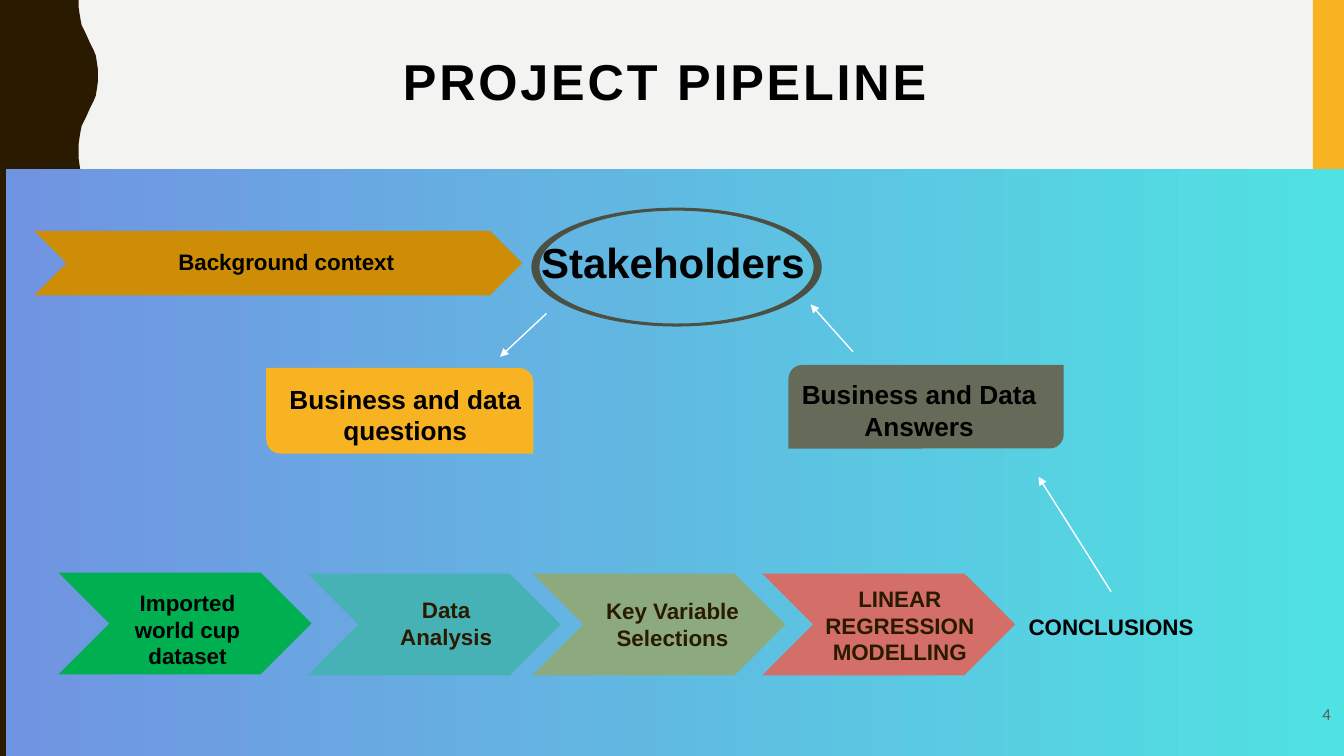
from math import cos, pi, sin
from lxml.etree import SubElement
from pptx import Presentation
from pptx.dml.color import RGBColor
from pptx.enum.shapes import MSO_CONNECTOR as Connector, MSO_SHAPE as Shape
from pptx.enum.text import MSO_ANCHOR as Anchor, PP_ALIGN as Align
from pptx.oxml.ns import qn
from pptx.util import Inches, Pt


class Theme:
    paper, brown, gold = "F3F3F2", "2A1A00", "F8B323"
    gradient = ("7194E2", "4FE2E2")
    ochre, ring, olive = "CE8D07", "4C5043", "656A59"
    green, teal, sage, coral = "00B050", "46B2B5", "8CAA7E", "D36F68"
    black, white, gray = "000000", "FFFFFF", "595959"
    font, number_font = "Arial", "Calibri"
    title, hub, box, step, number = 36, 30, 18.7, 16, 12


# Content: boxes are left, top, width, height in inches
TITLE = "PROJECT PIPELINE"
CHEVRONS = [
    ((0.34, 2.29, 4.84, 0.64), Theme.ochre),
    ((0.58, 5.68, 2.51, 1.01), Theme.green),
    ((3.05, 5.69, 2.51, 1.01), Theme.teal),
    ((5.28, 5.69, 2.51, 1.01), Theme.sage),
    ((7.56, 5.69, 2.51, 1.01), Theme.coral),
]
CARDS = [  # box, fill, roundings of the two diagonals
    ((2.64, 3.65, 2.65, 0.85), Theme.gold, (0, 0.167)),
    ((7.82, 3.62, 2.73, 0.83), Theme.olive, (0.167, 0)),
]
STEP_LABELS = [  # text, box, colour, anchor
    ("Background context", (0.71, 2.41, 4.26, 0.37), Theme.black, Anchor.MIDDLE),
    ("Imported world cup dataset", (1.19, 5.78, 1.34, 0.91), Theme.black, Anchor.BOTTOM),
    ("Data Analysis", (3.83, 5.86, 1.19, 0.64), Theme.brown, Anchor.BOTTOM),
    ("Key Variable Selections", (5.86, 5.87, 1.62, 0.64), Theme.brown, Anchor.BOTTOM),
    ("LINEAR REGRESSION MODELLING", (8.06, 5.74, 1.73, 0.91), Theme.brown, Anchor.BOTTOM),
    ("CONCLUSIONS", (10.08, 6.03, 1.88, 0.37), Theme.black, Anchor.BOTTOM),
]
CARD_LABELS = [
    ("Business and data questions", (2.25, 3.63, 3.54, 0.97)),
    ("Business and Data Answers", (7.67, 3.64, 2.89, 0.86)),
]
ARROWS = [  # start, end
    ((5.42, 3.11), (4.96, 3.54)),
    ((8.46, 3.49), (8.04, 3.02)),
    ((11.02, 5.87), (10.3, 4.73)),
]
# Half a wave of the left edge: depth, x
WAVE = [(0, 0.78), (0.07, 0.78), (0.14, 0.79), (0.2, 0.8), (0.25, 0.81),
        (0.33, 0.85), (0.42, 0.89), (0.5, 0.93), (0.55, 0.95), (0.61, 0.96),
        (0.68, 0.97), (0.75, 0.97)]
WAVE_LENGTH, WAVE_COUNT = 1.5, 5

presentation = Presentation()
presentation.slide_width, presentation.slide_height = Inches(13.33), Inches(7.5)
slide = presentation.slides.add_slide(presentation.slide_layouts[5])
shapes = slide.shapes


def color(value):
    return RGBColor.from_string(value)


def inches(values):
    return [Inches(value) for value in values]


def paint(shape, fill):
    shape.shadow.inherit = False
    shape.line.fill.background()
    shape.fill.solid()
    shape.fill.fore_color.rgb = color(fill)
    return shape


def add_block(kind, box, fill):
    return paint(shapes.add_shape(kind, *inches(box)), fill)


def add_outline(contours, fill):
    # The builder keeps whole units only, so points go in as EMU
    first, *others = [[inches(point) for point in contour] for contour in contours]
    builder = shapes.build_freeform(*first[0])
    builder.add_line_segments(first[1:])
    for contour in others:
        builder.move_to(*contour[0])
        builder.add_line_segments(contour[1:])
    return paint(builder.convert_to_shape(), fill)


def write(shape, text, size, fill=Theme.black, anchor=Anchor.MIDDLE,
          inset=None, align=Align.CENTER, font=Theme.font, bold=True):
    frame = shape.text_frame
    frame.word_wrap = True
    frame.vertical_anchor = anchor
    if inset is not None:
        frame.margin_left = frame.margin_right = Inches(inset)
        frame.margin_top = frame.margin_bottom = Inches(inset)
    paragraph = frame.paragraphs[0]
    paragraph.text = text
    paragraph.alignment = align
    paragraph.font.name, paragraph.font.size = font, Pt(size)
    paragraph.font.bold = bold
    paragraph.font.color.rgb = color(fill)
    return paragraph


def add_label(text, box, size, **style):
    return write(shapes.add_textbox(*inches(box)), text, size, **style)


def ellipse(center_x, center_y, radius_x, radius_y, steps=120):
    angles = [2 * pi * step / steps for step in range(steps + 1)]
    return [(center_x + radius_x * cos(angle), center_y + radius_y * sin(angle))
            for angle in angles]


# Backdrop: wavy edge, gold bar and gradient panel
slide.background.fill.solid()
slide.background.fill.fore_color.rgb = color(Theme.paper)
full_wave = WAVE + [(WAVE_LENGTH - depth, x) for depth, x in reversed(WAVE[:-1])]
edge = [(x, wave * WAVE_LENGTH + depth)
        for wave in range(WAVE_COUNT) for depth, x in full_wave]
add_outline([[(0, 0), *edge, (0, 7.5), (0, 0)]], Theme.brown)
add_block(Shape.RECTANGLE, (13.02, 0, 0.31, 7.5), Theme.gold)
panel = add_block(Shape.RECTANGLE, (0.06, 1.68, 13.33, 5.85), Theme.gradient[0])
panel.fill.gradient()
panel.fill.gradient_angle = 0
for stop, value in zip(panel.fill.gradient_stops, Theme.gradient):
    stop.color.rgb = color(value)

# Title
title = shapes.title
title.left, title.top, title.width, title.height = inches((2.46, 0.44, 8.27, 0.96))
heading = write(title, TITLE, Theme.title, anchor=Anchor.TOP, inset=0.13)
heading.line_spacing = 0.9
heading.runs[0].font._element.set("spc", "200")

# Pipeline shapes
for box, fill in CHEVRONS:
    add_block(Shape.CHEVRON, box, fill)
for box, fill, roundings in CARDS:
    card = add_block(Shape.ROUND_2_DIAG_RECTANGLE, box, fill)
    card.adjustments[0], card.adjustments[1] = roundings
add_outline([ellipse(6.71, 2.65, 1.44, 0.59),
             ellipse(6.71, 2.65, 1.36, 0.56)[::-1]], Theme.ring)

# Labels
add_label("Stakeholders", (5.23, 2.29, 2.89, 0.61), Theme.hub)
for text, box, fill, anchor in STEP_LABELS:
    add_label(text, box, Theme.step, fill=fill, anchor=anchor)
for text, box in CARD_LABELS:
    add_label(text, box, Theme.box, inset=0.13)
add_label("4", (12.53, 6.88, 0.8, 0.57), Theme.number, fill=Theme.gray,
          anchor=Anchor.TOP, inset=0.13, align=Align.RIGHT,
          font=Theme.number_font, bold=False)

# Arrows
for start, end in ARROWS:
    arrow = shapes.add_connector(Connector.STRAIGHT, *inches(start + end))
    arrow.line.color.rgb = color(Theme.white)
    arrow.line.width = Pt(1)
    SubElement(arrow.line._get_or_add_ln(), qn("a:tailEnd"), type="triangle")
    SubElement(arrow._element.spPr, qn("a:effectLst"))

presentation.save("out.pptx")
